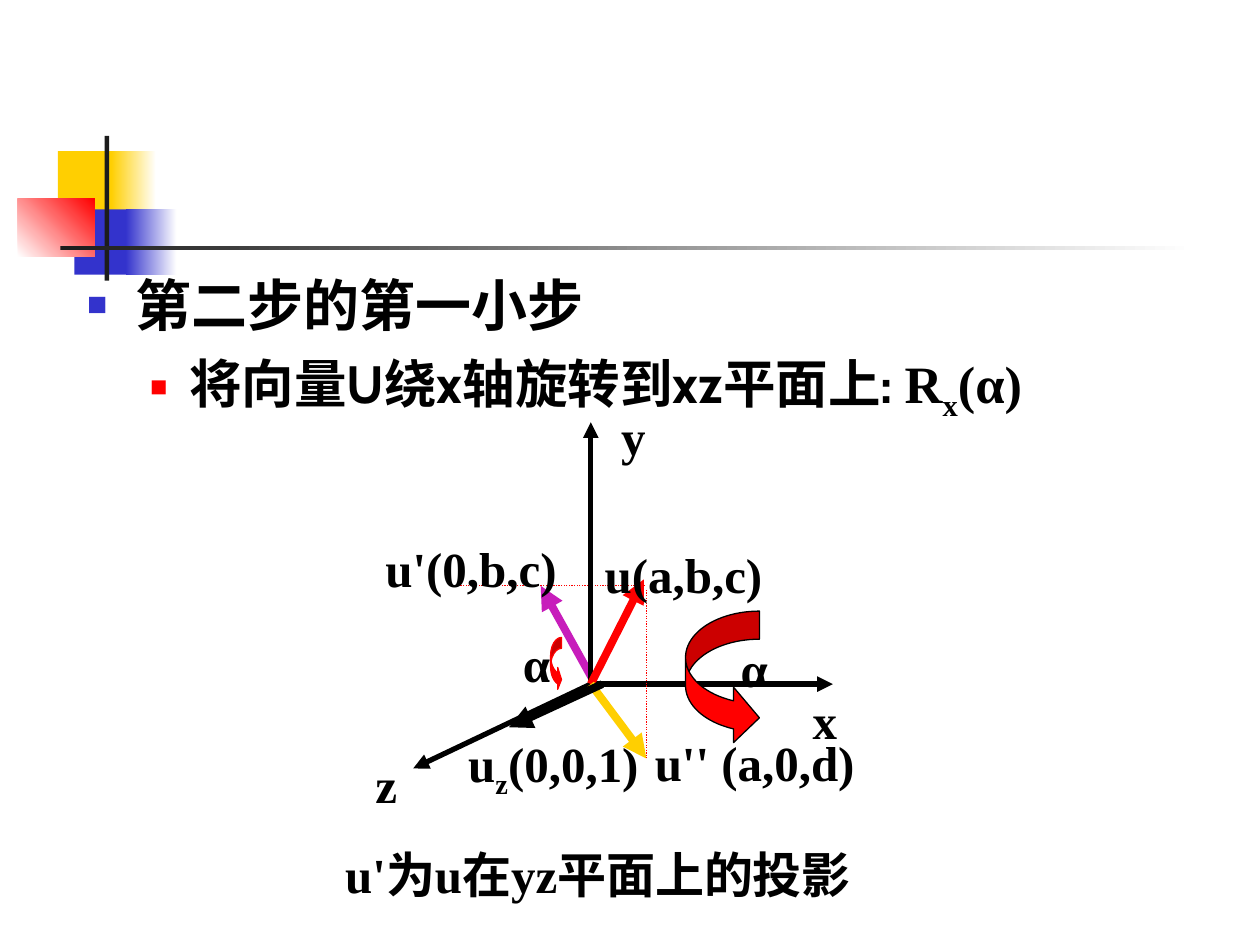
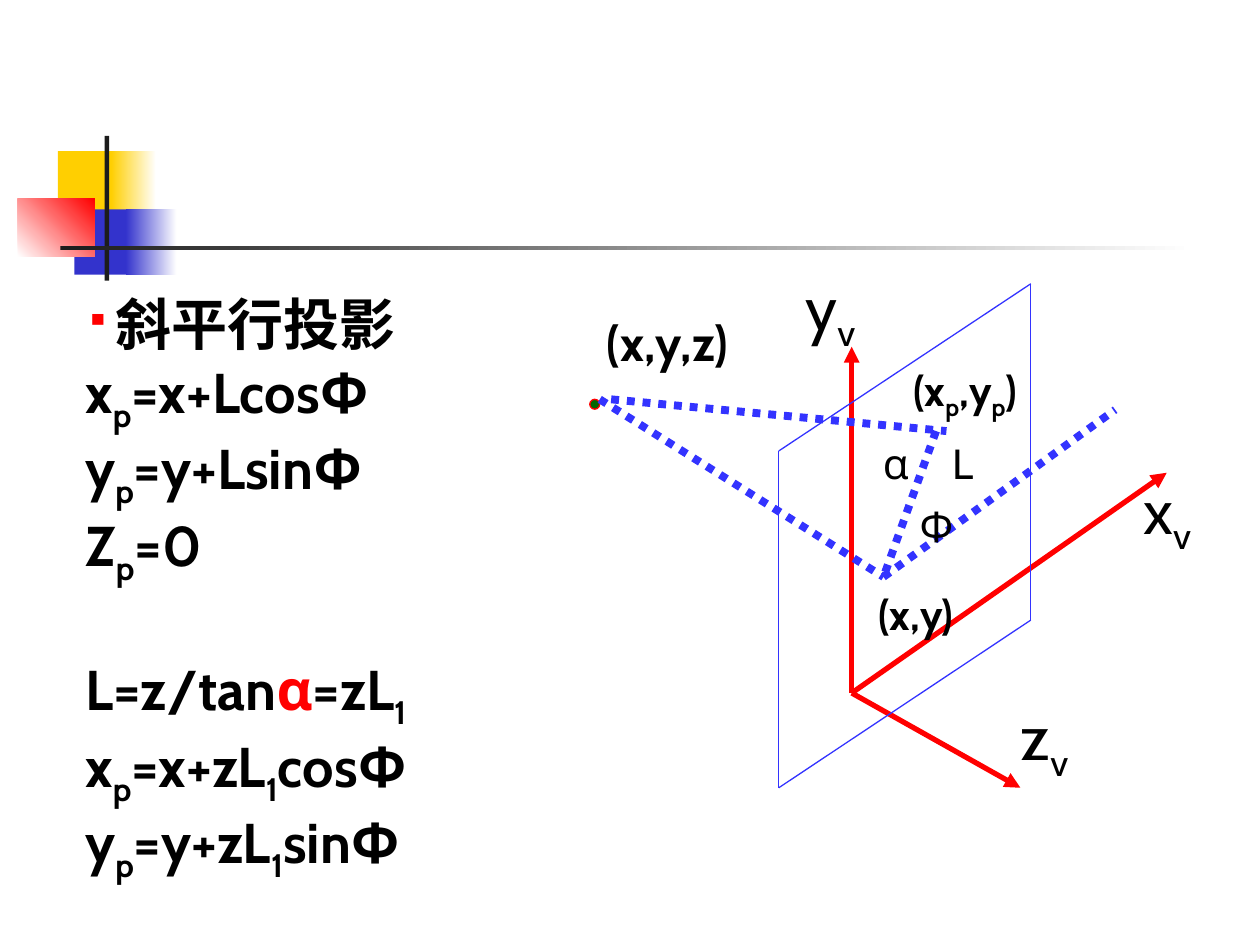
from dataclasses import dataclass
from typing import NamedTuple, Optional

from lxml import etree
from pptx import Presentation
from pptx.dml.color import RGBColor
from pptx.enum.dml import MSO_LINE
from pptx.enum.shapes import MSO_CONNECTOR, MSO_SHAPE
from pptx.enum.text import MSO_ANCHOR, MSO_AUTO_SIZE, PP_ALIGN
from pptx.oxml.ns import qn
from pptx.util import Cm, Pt

RECTANGLE, OVAL = MSO_SHAPE.RECTANGLE, MSO_SHAPE.OVAL
CURVED_ARROW = MSO_SHAPE.CURVED_RIGHT_ARROW
STRAIGHT, DOTTED = MSO_CONNECTOR.STRAIGHT, MSO_LINE.ROUND_DOT
TOP, MIDDLE = MSO_ANCHOR.TOP, MSO_ANCHOR.MIDDLE
LEFT, CENTER = PP_ALIGN.LEFT, PP_ALIGN.CENTER
FIT_SHAPE, NO_FIT = MSO_AUTO_SIZE.SHAPE_TO_FIT_TEXT, MSO_AUTO_SIZE.NONE

COLORS = {
    "white": "FFFFFF", "black": "000000", "ink": "1C1C1C", "red": "FF0000",
    "yellow": "FFCF01", "blue": "3333CC", "line blue": "3333FF",
    "purple": "C71DBB", "green": "006600",
}
SERIF, SANS = "Times New Roman", "Cabin"


class Point(NamedTuple):
    x: float
    y: float


class Span(NamedTuple):
    text: str
    subscript: bool = False
    color: str = "black"


class Style(NamedTuple):
    font: str
    size: float
    bold: bool = True


class Bullet(NamedTuple):
    symbol: str
    color: str
    percent: int
    indent: float
    hanging: float


@dataclass
class Block:
    left: float
    top: float
    width: float
    height: float
    color: str
    fade_to: Optional[str] = None
    angle: float = 0


@dataclass
class Stroke:
    start: Point
    end: Point
    color: str
    width: float
    arrow: bool = False
    dotted: bool = False


@dataclass
class Label:
    markup: str
    left: float
    top: float
    width: float
    height: float = 1.45
    style: Style = Style(SERIF, 28)
    centered: bool = False
    line_spacing: Optional[float] = None


@dataclass
class Turn:
    left: float
    top: float
    width: float
    height: float
    outline: str
    adjustments: tuple


BAND = [
    Block(1.17, 3.05, 1.22, 1.32, "yellow"),
    Block(2.24, 3.05, 0.91, 1.32, "yellow", "white"),
    Block(1.5, 4.22, 1.17, 1.32, "blue"),
    Block(2.54, 4.22, 1.02, 1.32, "blue", "white"),
    Block(0.36, 4.01, 1.55, 1.17, "white", "red", 45),
    Block(2.11, 2.74, 0.09, 2.92, "ink"),
    Block(1.22, 4.95, 22.86, 0.09, "ink", "white"),
]


def rgb(name: str) -> RGBColor:
    return RGBColor.from_string(COLORS[name])


def spans(markup: str) -> list[Span]:
    """Split the text at bars; every second piece is a subscript."""
    pieces = markup.split("|")
    return [Span(piece, index % 2 == 1) for index, piece in enumerate(pieces) if piece]


def write(paragraph, content: list[Span], style: Style) -> None:
    for span in content:
        run = paragraph.add_run()
        run.text = span.text
        run.font.name, run.font.size, run.font.bold = style.font, Pt(style.size), style.bold
        run.font.color.rgb = rgb(span.color)
        if span.subscript:
            run._r.get_or_add_rPr().set("baseline", "-25000")


def add_bullet(paragraph, bullet: Bullet) -> None:
    properties = paragraph._p.get_or_add_pPr()
    properties.set("marL", str(Cm(bullet.indent)))
    properties.set("indent", str(Cm(-bullet.hanging)))
    color = etree.SubElement(properties, qn("a:buClr"))
    etree.SubElement(color, qn("a:srgbClr"), val=COLORS[bullet.color])
    etree.SubElement(properties, qn("a:buSzPct"), val=str(bullet.percent * 1000))
    etree.SubElement(properties, qn("a:buChar"), char=bullet.symbol)


def add_plain_shape(page, kind, left: float, top: float, width: float, height: float):
    shape = page.shapes.add_shape(kind, Cm(left), Cm(top), Cm(width), Cm(height))
    shape.shadow.inherit = False
    return shape


def paint(shape, fill: str, outline: str) -> None:
    shape.fill.solid()
    shape.fill.fore_color.rgb = rgb(fill)
    shape.line.color.rgb = rgb(outline)
    shape.line.width = Pt(0.75)


def draw_band(page) -> None:
    for block in BAND:
        shape = add_plain_shape(page, RECTANGLE, block.left, block.top, block.width, block.height)
        shape.line.fill.background()
        if block.fade_to is None:
            shape.fill.solid()
            shape.fill.fore_color.rgb = rgb(block.color)
            continue
        shape.fill.gradient()
        shape.fill.gradient_angle = block.angle
        for stop, name in zip(shape.fill.gradient_stops, (block.color, block.fade_to)):
            stop.color.rgb = rgb(name)


def draw_stroke(page, stroke: Stroke) -> None:
    start, end = stroke.start, stroke.end
    connector = page.shapes.add_connector(
        STRAIGHT, Cm(start.x), Cm(start.y), Cm(end.x), Cm(end.y))
    connector.line.color.rgb = rgb(stroke.color)
    connector.line.width = Pt(stroke.width)
    if stroke.dotted:
        connector.line.dash_style = DOTTED
    if stroke.arrow:
        etree.SubElement(connector.line._get_or_add_ln(), qn("a:tailEnd"), type="triangle")
    etree.SubElement(connector._element.spPr, qn("a:effectLst"))


def draw_turn(page, turn: Turn) -> None:
    shape = add_plain_shape(page, CURVED_ARROW, turn.left, turn.top, turn.width, turn.height)
    paint(shape, "red", turn.outline)
    for index, value in enumerate(turn.adjustments):
        shape.adjustments[index] = value


def draw_label(page, label: Label) -> None:
    box = page.shapes.add_textbox(
        Cm(label.left), Cm(label.top), Cm(label.width), Cm(label.height))
    frame = box.text_frame
    frame.word_wrap = False
    frame.auto_size = FIT_SHAPE
    frame.vertical_anchor = MIDDLE if label.centered else TOP
    if label.centered:
        frame.margin_left = frame.margin_right = frame.margin_top = frame.margin_bottom = 0
    paragraph = frame.paragraphs[0]
    paragraph.alignment = CENTER if label.centered else LEFT
    if label.line_spacing:
        paragraph.line_spacing = label.line_spacing
    write(paragraph, spans(label.markup), label.style)


def build_rotation_page(deck) -> None:
    page = deck.slides.add_slide(deck.slide_layouts[1])
    title = page.shapes.title._element
    title.getparent().remove(title)
    draw_band(page)

    body = page.placeholders[1]
    body.left, body.top, body.width, body.height = Cm(1.5), Cm(5.33), Cm(22.71), Cm(3.66)
    frame = body.text_frame
    frame.auto_size = NO_FIT
    heading = frame.paragraphs[0]
    heading.space_before = Pt(0)
    add_bullet(heading, Bullet("■", "blue", 60, 0.97, 0.97))
    write(heading, spans("第二步的第一小步"), Style(SERIF, 32))
    step = frame.add_paragraph()
    step.level = 1
    step.space_before = Pt(7.5)
    add_bullet(step, Bullet("■", "red", 55, 2.06, 0.79))
    write(step, spans("将向量U绕x轴旋转到xz平面上: "), Style(SANS, 30))
    write(step, spans("R|x|(α)"), Style(SERIF, 30))

    origin = Point(11.91, 13.79)
    strokes = [
        Stroke(Point(11.96, 13.72), Point(10.9, 11.81), "purple", 4.5, arrow=True),
        Stroke(Point(13, 11.81), Point(9.19, 11.81), "red", 0.75, dotted=True),
        *(Stroke(origin, tip, "black", 3, arrow=True)
          for tip in (Point(11.91, 8.51), Point(16.79, 13.79), Point(8.33, 15.49))),
        Stroke(origin, Point(12.98, 11.68), "red", 4.5, arrow=True),
        Stroke(origin, Point(13.03, 15.29), "yellow", 4.5, arrow=True),
        Stroke(Point(13.03, 11.89), Point(13.03, 15.29), "red", 0.75, dotted=True),
        Stroke(Point(12.14, 13.79), Point(10.26, 14.66), "black", 4.5, arrow=True),
    ]
    for stroke in strokes:
        draw_stroke(page, stroke)
    draw_turn(page, Turn(11.1, 12.85, 0.22, 1.07, "red", (1.0, 2.0, 0.35)))
    draw_turn(page, Turn(13.82, 12.32, 1.49, 2.71, "black", (0.38, 0.75, 0.35)))

    labels = [
        Label("u'为u在yz平面上的投影", 6.71, 16.89, 11.89),
        Label("u'(0,b,c)", 7.52, 10.74, 3.96),
        Label("u(a,b,c)", 11.94, 10.85, 3.68),
        Label("u'' (a,0,d)", 12.95, 14.53, 4.7, 1.57, line_spacing=1.1),
        Label("u|z|(0,0,1)", 9.19, 14.66, 3.94, 1.6),
        Label("α", 10.29, 12.65, 1.04),
        Label("α", 14.68, 12.75, 1.04),
        Label("x", 16.13, 13.79, 0.99),
        Label("y", 12.27, 8.08, 0.99),
        Label("z", 7.32, 15.09, 0.94),
    ]
    for label in labels:
        draw_label(page, label)


def build_projection_page(deck) -> None:
    page = deck.slides.add_slide(deck.slide_layouts[6])
    draw_band(page)

    formulas = [
        spans("斜平行投影"),
        spans("x|p|=x+LcosФ"),
        spans("y|p|=y+LsinФ"),
        spans("Z|p|=0"),
        spans("L=z/tan") + [Span("α", color="red")] + spans("=zL|1|"),
        spans("x|p|=x+zL|1|cosФ"),
        spans("y|p|=y+zL|1|sinФ"),
    ]
    second_group = 4
    frame = page.shapes.add_textbox(Cm(1.47), Cm(5.72), Cm(9.96), Cm(13)).text_frame
    frame.word_wrap = True
    for index, formula in enumerate(formulas):
        paragraph = frame.add_paragraph() if index else frame.paragraphs[0]
        if index == 0:
            add_bullet(paragraph, Bullet("▪", "red", 60, 0.6, 0.6))
        if index == second_group:
            paragraph.space_before = Pt(39)
        write(paragraph, formula, Style(SANS, 32))

    origin = Point(17.17, 13.97)
    for tip in (Point(17.17, 6.99), Point(23.52, 9.53), Point(20.57, 15.88)):
        draw_stroke(page, Stroke(origin, tip, "red", 3, arrow=True))
    plane = [Point(15.7, 9.09), Point(20.78, 5.72), Point(20.78, 12.5), Point(15.7, 15.88)]
    for start, end in zip(plane, plane[1:] + plane[:1]):
        draw_stroke(page, Stroke(start, end, "line blue", 0.75))
    paint(add_plain_shape(page, OVAL, 11.89, 8.05, 0.2, 0.2), "green", "red")
    foot = Point(17.81, 11.63)
    rays = [
        (Point(12.09, 8.05), foot),
        (foot, Point(22.48, 8.26)),
        (Point(12.32, 8.05), Point(19.08, 8.69)),
        (Point(18.87, 8.69), foot),
    ]
    for start, end in rays:
        draw_stroke(page, Stroke(start, end, "line blue", 4.5, dotted=True))

    axis_name, angle_name = Style(SANS, 36, False), Style(SANS, 24, False)
    point_name = Style(SANS, 24)
    labels = [
        Label("x|v|", 23.01, 9.5, 1.04, 1.73, axis_name, True),
        Label("y|v|", 16.23, 5.41, 1.02, 1.73, axis_name, True),
        Label("z|v|", 20.57, 14.07, 0.97, 1.73, axis_name, True),
        Label("(x,y,z)", 12.01, 6.3, 2.9, 1.19, Style(SANS, 28), True),
        Label("(x,y)", 17.55, 11.86, 1.83, 1.02, point_name, True),
        Label("(x|p|,y|p|)", 18.24, 7.34, 2.44, 1.17, point_name, True),
        Label("Ф", 18.29, 9.96, 1.19, 1.27, angle_name),
        Label("α", 17.55, 8.69, 1.02, 1.27, angle_name),
        Label("L", 18.95, 8.69, 0.94, 1.27, angle_name),
    ]
    for label in labels:
        draw_label(page, label)


def main() -> None:
    deck = Presentation()
    deck.slide_width, deck.slide_height = Cm(25.4), Cm(19.05)
    build_rotation_page(deck)
    build_projection_page(deck)
    deck.save("out.pptx")


if __name__ == "__main__":
    main()
